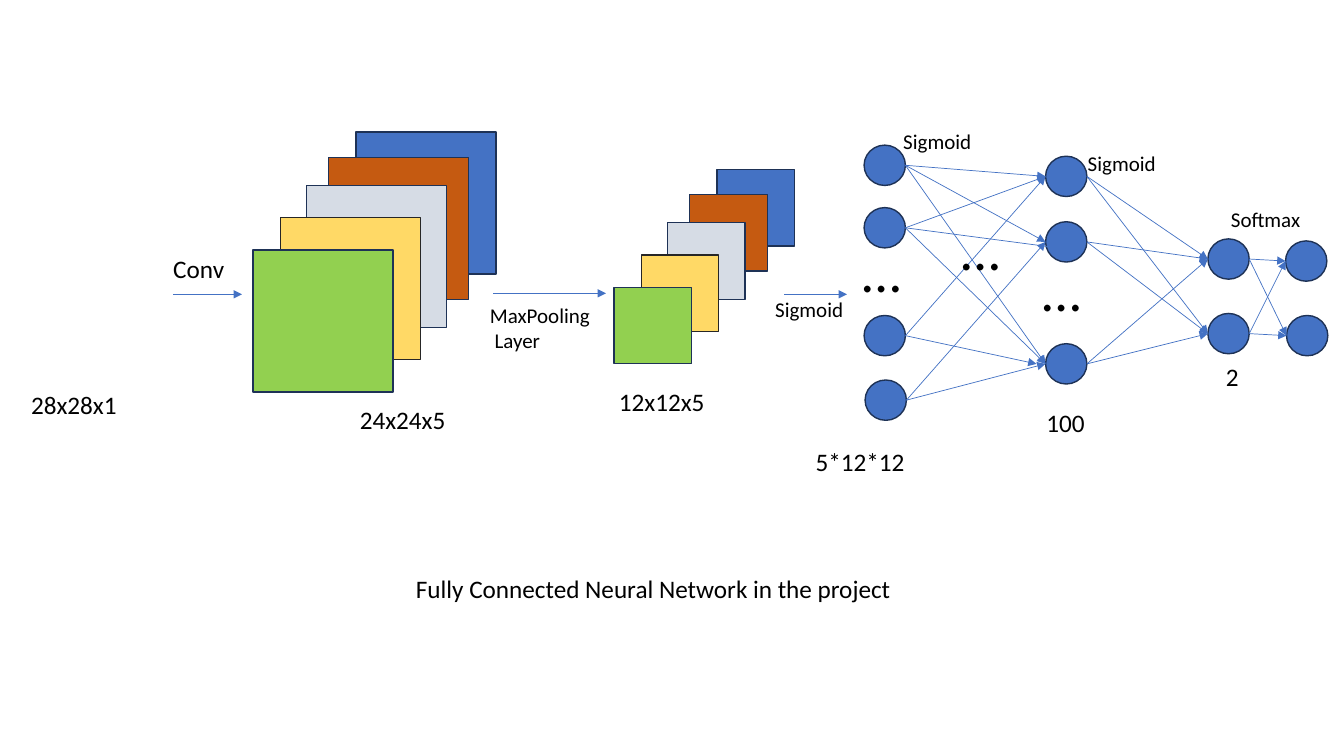
"""Builds a slide showing a convolutional network from feature maps to softmax output."""
from lxml import etree
from pptx import Presentation
from pptx.dml.color import RGBColor
from pptx.enum.shapes import MSO_CONNECTOR, MSO_SHAPE
from pptx.enum.text import MSO_AUTO_SIZE
from pptx.oxml.ns import qn
from pptx.util import Inches, Pt

RECT, OVAL = MSO_SHAPE.RECTANGLE, MSO_SHAPE.OVAL
STRAIGHT = MSO_CONNECTOR.STRAIGHT
GROW = MSO_AUTO_SIZE.SHAPE_TO_FIT_TEXT
COLORS = {"blue": "4472C4", "orange": "C55A11", "gray": "D6DCE5", "yellow": "FFD966",
          "green": "92D050", "navy": "1E3256", "dark": "262626", "black": "000000"}
RGB = {name: RGBColor.from_string(value) for name, value in COLORS.items()}
NODE_W, NODE_H = 0.41, 0.4

prs = Presentation()
prs.slide_width, prs.slide_height = Inches(13.33), Inches(7.5)
s = prs.slides.add_slide(prs.slide_layouts[6])


def add_block(kind, x, y, w, h, fill, line="navy"):
    sp = s.shapes.add_shape(kind, Inches(x), Inches(y), Inches(w), Inches(h))
    sp.shadow.inherit = False
    sp.fill.solid()
    sp.fill.fore_color.rgb = RGB[fill]
    sp.line.color.rgb = RGB[line]
    sp.line.width = Pt(1)


def add_arrow(x1, y1, x2, y2):
    c = s.shapes.add_connector(STRAIGHT, Inches(x1), Inches(y1), Inches(x2), Inches(y2))
    c.line.color.rgb = RGB["blue"]
    c.line.width = Pt(0.5)
    etree.SubElement(c.line._get_or_add_ln(), qn("a:tailEnd"), type="triangle")
    etree.SubElement(c._element.spPr, qn("a:effectLst"))


sheets = [("blue", "navy", 1.02, 0), ("orange", "navy", 0.75, 0.25),
          ("gray", "navy", 0.53, 0.53), ("yellow", "dark", 0.27, 0.85),
          ("green", "navy", 0, 1.17)]
for left, top, w, h in [(2.51, 1.31, 1.39, 1.41), (6.09, 1.68, 0.77, 0.76)]:
    for fill, line, dx, dy in sheets:
        add_block(RECT, left + dx, top + dy, w, h, fill, line)

layers = [
    [(8.57, 1.44), (8.57, 2.06), (8.57, 3.13), (8.58, 3.77)],
    [(10.37, 1.55), (10.37, 2.2), (10.37, 3.41)],
    [(11.98, 2.37), (11.98, 3.11)],
    [(12.75, 2.39), (12.76, 3.13)],
]
for layer in layers:
    for x, y in layer:
        add_block(OVAL, x, y, NODE_W, NODE_H, "blue")

links = [
    [(0, 1, 2), (0, 1, 2), (0, 2), (1, 2)],
    [(0, 1), (0, 1), (0, 1)],
    [(0, 1), (0, 1)],
]
shifted_ends = {(0, 1, 1): (10.65, 2.48), (0, 2, 2): (10.28, 3.61)}
for n, layer_links in enumerate(links):
    for start, targets in enumerate(layer_links):
        x1, y1 = layers[n][start]
        for end in targets:
            x2, y2 = layers[n + 1][end]
            tip = shifted_ends.get((n, start, end), (x2, y2 + NODE_H / 2))
            add_arrow(x1 + NODE_W, y1 + NODE_H / 2, *tip)

for x1, x2, y in [(1.72, 2.4, 2.92), (4.89, 6.01, 2.91), (7.78, 8.4, 2.92)]:
    add_arrow(x1, y, x2, y)

labels = [
    (["28x28x1"], 18, 0.21, 3.81, 1.13, 0.4),
    (["Conv"], 18, 1.62, 2.46, 1.13, 0.4),
    (["24x24x5"], 18, 3.47, 3.96, 1.13, 0.4),
    (["MaxPooling", " Layer"], 15, 4.76, 2.95, 1.25, 0.61),
    (["12x12x5"], 18, 6.04, 3.78, 1.46, 0.4),
    (["Sigmoid"], 15, 7.59, 2.89, 1.16, 0.35),
    (["Sigmoid"], 15, 8.86, 1.23, 1.16, 0.35),
    (["Sigmoid"], 15, 10.69, 1.44, 1, 0.35),
    (["Softmax"], 15, 12.11, 2, 1.1, 0.35),
    (["…"], 40, 8.46, 2.3, 0.67, 0.77),
    (["…"], 40, 9.44, 2.08, 0.67, 0.77),
    (["…"], 40, 10.24, 2.49, 0.67, 0.77),
    (["5*12*12"], 18, 7.99, 4.38, 1.48, 0.4),
    (["100"], 18, 10.28, 3.99, 1.01, 0.4),
    (["2"], 18, 12.06, 3.54, 0.5, 0.4),
    ([" Fully Connected Neural Network in the project"], 18, 3.97, 5.64, 5.71, 0.4),
]
for lines, size, x, y, w, h in labels:
    tf = s.shapes.add_textbox(Inches(x), Inches(y), Inches(w), Inches(h)).text_frame
    tf.word_wrap = True
    tf.auto_size = GROW
    for i, text in enumerate(lines):
        p = tf.add_paragraph() if i else tf.paragraphs[0]
        r = p.add_run()
        r.text = text
        for name, value in {"name": "Calibri", "size": Pt(size)}.items():
            setattr(r.font, name, value)
        r.font.color.rgb = RGB["black"]

prs.save("out.pptx")
